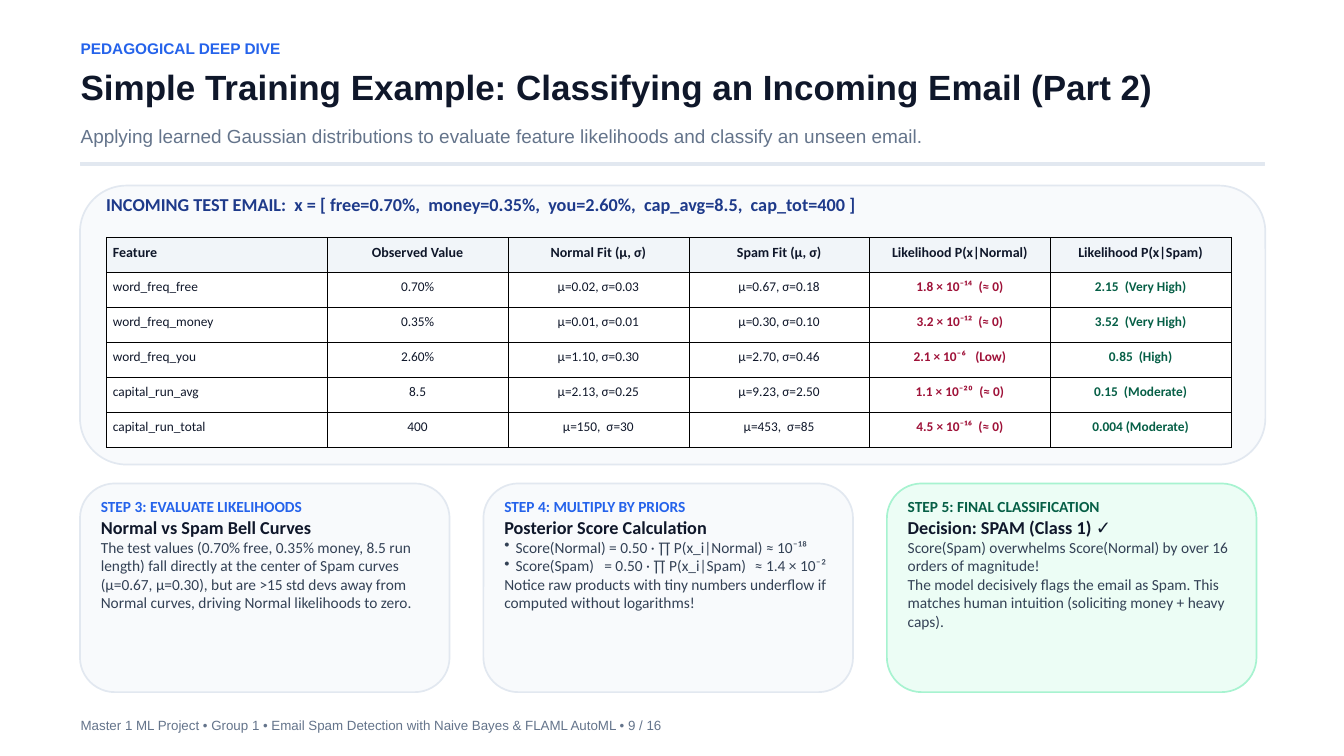
import pptx
import pptx.dml.color
import pptx.enum.shapes
import pptx.enum.text
import pptx.oxml
import pptx.oxml.ns
import pptx.util

RGBColor = pptx.dml.color.RGBColor
ALIGN = pptx.enum.text.PP_ALIGN
SHAPE = pptx.enum.shapes.MSO_SHAPE

WHITE = RGBColor(0xFF, 0xFF, 0xFF)
INK = RGBColor(0x0F, 0x17, 0x2A)
BODY = RGBColor(0x33, 0x41, 0x55)
MUTED = RGBColor(0x64, 0x74, 0x8B)
BLUE = RGBColor(0x25, 0x63, 0xEB)
NAVY = RGBColor(0x1E, 0x3A, 0x8A)
RED = RGBColor(0x9F, 0x12, 0x39)
GREEN = RGBColor(0x06, 0x5F, 0x46)
RULE = RGBColor(0xE2, 0xE8, 0xF0)
PANEL = RGBColor(0xF8, 0xFA, 0xFC)
HEADER = RGBColor(0xF1, 0xF5, 0xF9)
MINT = RGBColor(0xEC, 0xFD, 0xF5)
MINT_EDGE = RGBColor(0xA7, 0xF3, 0xD0)
NAMESPACE = pptx.oxml.ns.nsdecls("a")

presentation = pptx.Presentation()
presentation.slide_width = pptx.util.Inches(20)
presentation.slide_height = pptx.util.Inches(11.25)

# Grid: 100 columns by 100 rows over the slide
COLUMN = presentation.slide_width / 100
ROW = presentation.slide_height / 100
LEFT, WIDTH = 6, 88.1


def place(left, top, width, height):
    return [int(left * COLUMN), int(top * ROW), int(width * COLUMN), int(height * ROW)]


def write(frame, text, size, spacing, color, bold=False, font="Calibri",
          align=ALIGN.LEFT, bullet=False, tabs=()):
    """Add one paragraph, filling the first one while it is empty."""
    paragraph = frame.paragraphs[0]
    if paragraph.runs:
        paragraph = frame.add_paragraph()
    paragraph.alignment = align
    paragraph.line_spacing = pptx.util.Pt(spacing)
    paragraph.space_before = paragraph.space_after = pptx.util.Pt(0)
    properties = paragraph._p.get_or_add_pPr()
    if bullet:
        indent = pptx.util.Inches(0.17)
        properties.set("marL", str(indent))
        properties.set("indent", str(-indent))
        properties.append(pptx.oxml.parse_xml(f'<a:buChar {NAMESPACE} char="•"/>'))
    if tabs:
        stops = "".join(f'<a:tab pos="{pptx.util.Inches(tab)}" algn="l"/>' for tab in tabs)
        properties.append(pptx.oxml.parse_xml(f"<a:tabLst {NAMESPACE}>{stops}</a:tabLst>"))
    run = paragraph.add_run()
    run.text = text
    run.font.name, run.font.size, run.font.bold = font, pptx.util.Pt(size), bold
    run.font.color.rgb = color


slide = presentation.slides.add_slide(presentation.slide_layouts[5])
slide.background.fill.solid()
slide.background.fill.fore_color.rgb = WHITE

# Panels: test email, then the three steps
CARD_STEP, CARD_TOP = 30.02, 63.95
cards = [(LEFT - 0.05 + CARD_STEP * index, CARD_TOP, 27.5, 27.6) for index in range(3)]
panels = [((LEFT - 0.05, 24.55, 88.2, 36.9), PANEL, RULE),
          (cards[0], PANEL, RULE),
          (cards[1], PANEL, RULE),
          (cards[2], MINT, MINT_EDGE)]
for area, fill, edge in panels:
    panel = slide.shapes.add_shape(SHAPE.ROUNDED_RECTANGLE, *place(*area))
    panel.shadow.inherit = False
    panel.fill.solid()
    panel.fill.fore_color.rgb = fill
    panel.line.color.rgb = edge
    panel.line.width = pptx.util.Pt(1.8)

# Rule under the heading
rule = slide.shapes.add_shape(SHAPE.RECTANGLE, *place(LEFT, 21.55, WIDTH, 0.3))
rule.shadow.inherit = False
rule.fill.solid()
rule.fill.fore_color.rgb = RULE
rule.line.color.rgb = RULE
rule.line.width = pptx.util.Pt(1.13)

# Title
title = slide.shapes.title
title.left, title.top, title.width, title.height = place(LEFT, 8.7, WIDTH, 7.75)

# Texts: area, then paragraphs with their format
heading = dict(size=19.5, spacing=23.4, color=INK, bold=True)
label = dict(size=16.5, spacing=19.8, color=BLUE, bold=True)
body = dict(size=16.5, spacing=19.8, color=BODY)
card_texts = [(left + 1.55, top + 1.85, 24.4, 23.6) for left, top, width, height in cards]
texts = [
    (title, [("Simple Training Example: Classifying an Incoming Email (Part 2)",
              dict(size=37.5, spacing=45, color=INK, bold=True, font="Arial"))]),
    ((LEFT, 5.15, WIDTH, 3.9), [("PEDAGOGICAL DEEP DIVE", dict(label, font="Arial"))]),
    ((LEFT, 16.45, WIDTH, 4.8), [
        ("Applying learned Gaussian distributions to evaluate feature likelihoods "
         "and classify an unseen email.",
         dict(size=20.3, spacing=24.3, color=MUTED, font="Arial"))]),
    ((LEFT, 94.85, WIDTH, 2.2), [
        ("Master 1 ML Project • Group 1 • Email Spam Detection with Naive Bayes "
         "& FLAML AutoML • 9 / 16",
         dict(size=14.3, spacing=17.1, color=MUTED, font="Arial"))]),
    ((7.9, 25.6, 84, 5.15), [
        ("INCOMING TEST EMAIL:  x = [ free=0.70%,  money=0.35%,  you=2.60%,  "
         "cap_avg=8.5,  cap_tot=400 ]", dict(heading, color=NAVY))]),
    (card_texts[0], [
        ("STEP 3: EVALUATE LIKELIHOODS", label),
        ("Normal vs Spam Bell Curves", heading),
        ("The test values (0.70% free, 0.35% money, 8.5 run length) fall directly at the "
         "center of Spam curves (μ=0.67, μ=0.30), but are >15 std devs away from Normal "
         "curves, driving Normal likelihoods to zero.", body)]),
    (card_texts[1], [
        ("STEP 4: MULTIPLY BY PRIORS", label),
        ("Posterior Score Calculation", heading),
        ("Score(Normal) = 0.50 · ∏ P(x_i|Normal) ≈ 10⁻¹⁸", dict(body, bullet=True)),
        ("Score(Spam)\t= 0.50 · ∏ P(x_i|Spam)\t≈ 1.4 × 10⁻²",
         dict(body, bullet=True, tabs=(1.49, 3.73))),
        ("Notice raw products with tiny numbers underflow if computed without "
         "logarithms!", body)]),
    (card_texts[2], [
        ("STEP 5: FINAL CLASSIFICATION", dict(label, color=GREEN)),
        ("Decision: SPAM (Class 1) ✓", heading),
        ("Score(Spam) overwhelms Score(Normal) by over 16 orders of magnitude!", body),
        ("The model decisively flags the email as Spam. This matches human intuition "
         "(soliciting money + heavy caps).", body)]),
]
for target, paragraphs in texts:
    shape = slide.shapes.add_textbox(*place(*target)) if isinstance(target, tuple) else target
    frame = shape.text_frame
    frame.word_wrap = True
    frame.auto_size = pptx.enum.text.MSO_AUTO_SIZE.NONE
    frame.vertical_anchor = pptx.enum.text.MSO_ANCHOR.TOP
    frame.margin_left = frame.margin_right = frame.margin_top = frame.margin_bottom = 0
    for text, style in paragraphs:
        write(frame, text, **style)

# Likelihood table
rows = [
    ["Feature", "Observed Value", "Normal Fit (μ, σ)", "Spam Fit (μ, σ)",
     "Likelihood P(x|Normal)", "Likelihood P(x|Spam)"],
    ["word_freq_free", "0.70%", "μ=0.02, σ=0.03", "μ=0.67, σ=0.18",
     "1.8 × 10⁻¹⁴  (≈ 0)", "2.15  (Very High)"],
    ["word_freq_money", "0.35%", "μ=0.01, σ=0.01", "μ=0.30, σ=0.10",
     "3.2 × 10⁻¹²  (≈ 0)", "3.52  (Very High)"],
    ["word_freq_you", "2.60%", "μ=1.10, σ=0.30", "μ=2.70, σ=0.46",
     "2.1 × 10⁻⁶   (Low)", "0.85  (High)"],
    ["capital_run_avg", "8.5", "μ=2.13, σ=0.25", "μ=9.23, σ=2.50",
     "1.1 × 10⁻²⁰  (≈ 0)", "0.15  (Moderate)"],
    ["capital_run_total", "400", "μ=150,  σ=30", "μ=453,  σ=85",
     "4.5 × 10⁻¹⁶  (≈ 0)", "0.004 (Moderate)"],
]
column_colors = [INK, INK, INK, INK, RED, GREEN]
table = slide.shapes.add_table(len(rows), len(rows[0]), *place(7.9, 31.4, 83.7, 27.8)).table
for index, column in enumerate(table.columns):
    column.width = int((16.45 if index == 0 else 13.45) * COLUMN)
for row_index, row in enumerate(rows):
    is_header = row_index == 0
    for column_index, text in enumerate(row):
        cell = table.cell(row_index, column_index)
        cell.margin_left = cell.margin_right = pptx.util.Inches(0.1)
        cell.margin_top = cell.margin_bottom = pptx.util.Inches(0.1)
        write(cell.text_frame, text,
              size=15 if is_header else 14.3,
              spacing=18 if is_header else 17.1,
              color=INK if is_header else column_colors[column_index],
              bold=is_header or column_index >= 4,
              align=ALIGN.LEFT if column_index == 0 else ALIGN.CENTER)
        properties = cell._tc.get_or_add_tcPr()
        for side in ("lnL", "lnR", "lnT", "lnB"):
            properties.append(pptx.oxml.parse_xml(
                f'<a:{side} {NAMESPACE} w="{pptx.util.Pt(0.37)}"><a:solidFill>'
                f'<a:srgbClr val="000000"/></a:solidFill></a:{side}>'))
        cell.fill.solid()
        cell.fill.fore_color.rgb = HEADER if is_header else WHITE

presentation.save("out.pptx")
